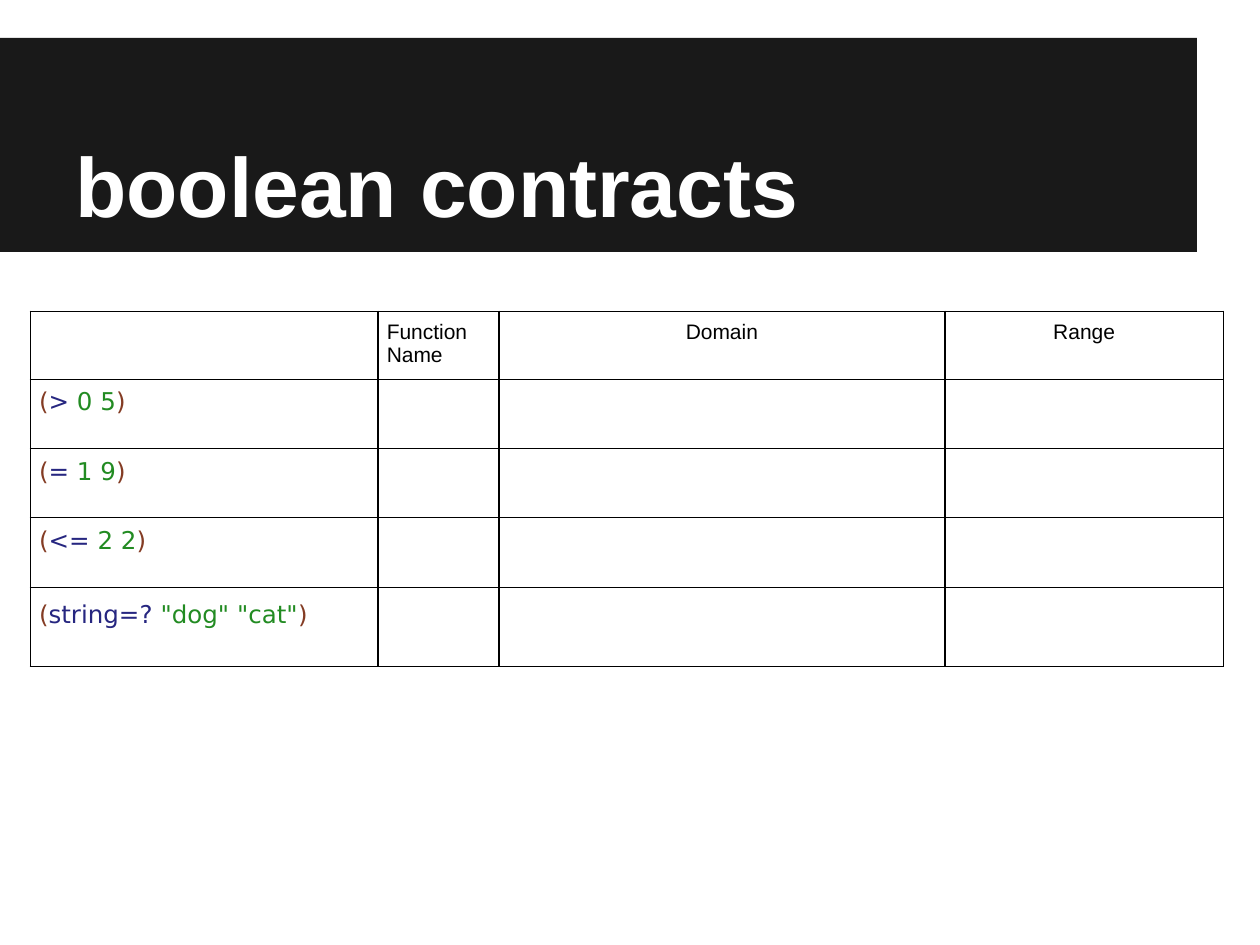
from dataclasses import dataclass

from lxml import etree
from pptx import Presentation
from pptx import util as u
from pptx.dml.color import RGBColor
from pptx.enum import shapes, text
from pptx.oxml import ns


@dataclass(frozen=True)
class Theme:
    """Colours, fonts and type sizes of the slide."""
    banner: str = "191919"
    title: str = "FFFFFF"
    ink: str = "000000"
    paren: str = "843C24"
    operator: str = "262680"
    literal: str = "228B22"
    font: str = "Arial"
    code_font: str = "DejaVu Sans"
    title_size: int = 48
    header_size: int = 12
    code_size: int = 14
    border: float = 0.75


THEME = Theme()
COLUMNS = [2.76, 0.96, 3.54, 2.21]
ROWS = [0.53, 0.55, 0.55, 0.55, 0.63]
HEADERS = ["", "Function Name", "Domain", "Range"]
EXPRESSIONS = [(">", "0 5"), ("=", "1 9"), ("<=", "2 2"), ("string=?", '"dog" "cat"')]


def write(paragraph, content, size, color, font=THEME.font, bold=False):
    """Add one formatted run to a paragraph."""
    run = paragraph.add_run()
    run.text = content
    run.font.size = u.Pt(size)
    run.font.name = font
    run.font.bold = bold
    run.font.color.rgb = RGBColor.from_string(color)


def set_margins(target, inches):
    """Give a cell or text frame the same margin on every side."""
    target.margin_left = target.margin_right = u.Inches(inches)
    target.margin_top = target.margin_bottom = u.Inches(inches)


def style_cell(cell):
    """Clear the fill of a cell and draw its four borders."""
    set_margins(cell, 0.07)
    cell.fill.background()
    properties = cell._tc.get_or_add_tcPr()
    for position, side in enumerate(("lnL", "lnR", "lnT", "lnB")):
        line = etree.Element(ns.qn(f"a:{side}"), w=str(u.Pt(THEME.border)))
        fill = etree.SubElement(line, ns.qn("a:solidFill"))
        etree.SubElement(fill, ns.qn("a:srgbClr"), val=THEME.ink)
        properties.insert(position, line)


def add_banner(slide, left, top, width, height, title):
    """Draw the dark band with the title resting at its bottom."""
    band = slide.shapes.add_shape(
        shapes.MSO_SHAPE.RECTANGLE, *map(u.Inches, (left, top, width, height)))
    band.shadow.inherit = False
    band.fill.solid()
    band.fill.fore_color.rgb = RGBColor.from_string(THEME.banner)
    band.line.fill.background()
    heading = slide.shapes.add_textbox(
        *map(u.Inches, (left + 0.5, top, width - 0.5, height - 0.04)))
    frame = heading.text_frame
    frame.word_wrap = True
    frame.vertical_anchor = text.MSO_ANCHOR.BOTTOM
    set_margins(frame, 0.1)
    write(frame.paragraphs[0], title, THEME.title_size, THEME.title, bold=True)


def add_contracts(slide, left, top, width, height):
    """Build the contract table, scaling its columns and rows to the box."""
    table = slide.shapes.add_table(
        len(ROWS), len(COLUMNS), *map(u.Inches, (left, top, width, height))).table
    table.first_row = table.horz_banding = False
    for column, share in zip(table.columns, COLUMNS):
        column.width = u.Inches(width * share / sum(COLUMNS))
    for row, share in zip(table.rows, ROWS):
        row.height = u.Inches(height * share / sum(ROWS))
    for cell in table.iter_cells():
        style_cell(cell)
    for index, header in enumerate(HEADERS):
        if header:
            paragraph = table.cell(0, index).text_frame.paragraphs[0]
            if index > 1:
                paragraph.alignment = text.PP_ALIGN.CENTER
            write(paragraph, header, THEME.header_size, THEME.ink)
    for index, (operator, literals) in enumerate(EXPRESSIONS, start=1):
        paragraph = table.cell(index, 0).text_frame.paragraphs[0]
        if index == len(EXPRESSIONS):
            paragraph.line_spacing = 1.15
        for content, color in (("(", THEME.paren), (operator + " ", THEME.operator),
                               (literals, THEME.literal), (")", THEME.paren)):
            write(paragraph, content, THEME.code_size, color, font=THEME.code_font)


def main():
    """Build and save the slide."""
    deck = Presentation()
    deck.slide_width, deck.slide_height = u.Inches(10), u.Inches(7.5)
    slide = deck.slides.add_slide(deck.slide_layouts[6])
    add_banner(slide, 0, 0.3, 9.5, 1.7, "boolean contracts")
    add_contracts(slide, 0.24, 2.47, sum(COLUMNS), sum(ROWS))
    deck.save("out.pptx")


if __name__ == "__main__":
    main()
